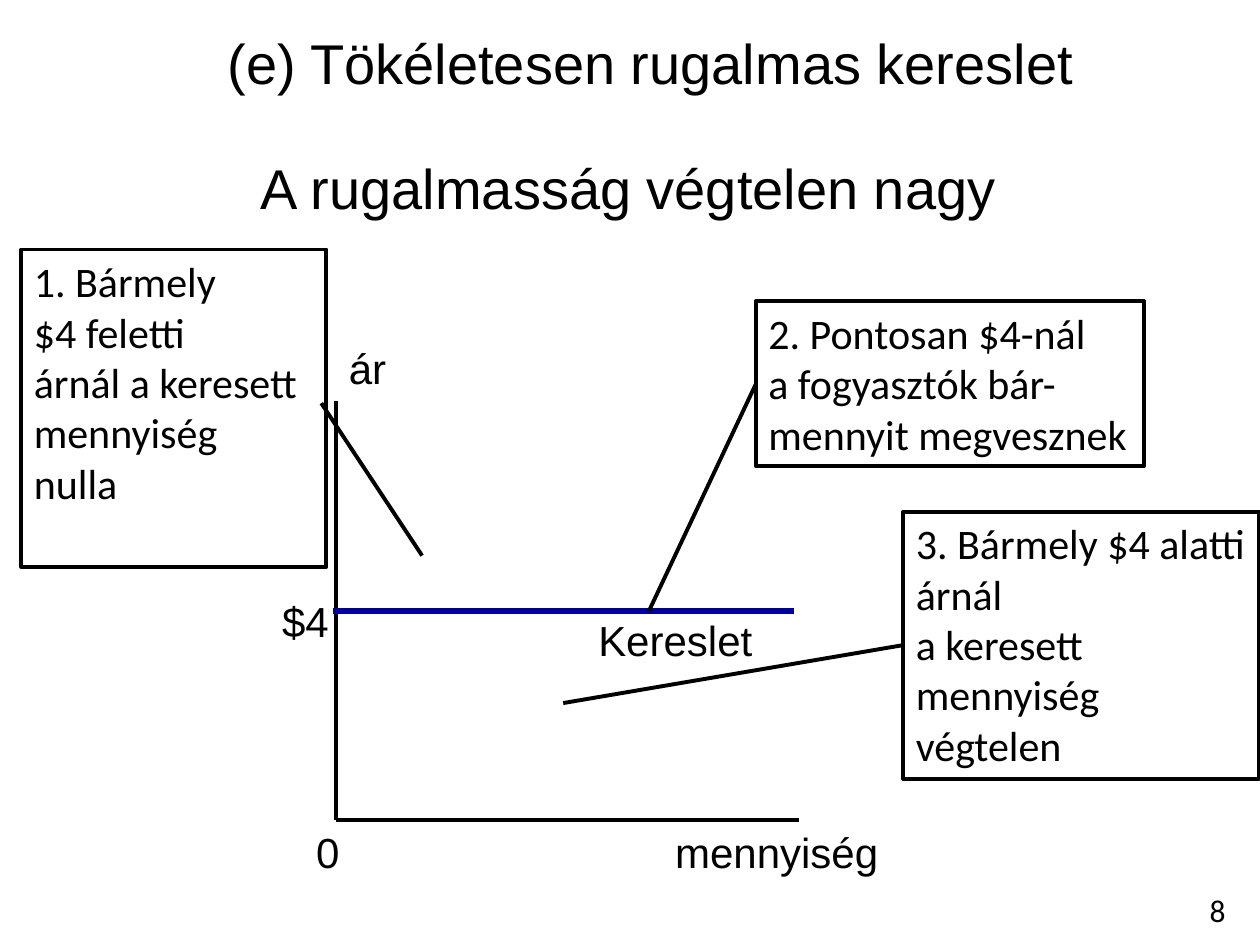
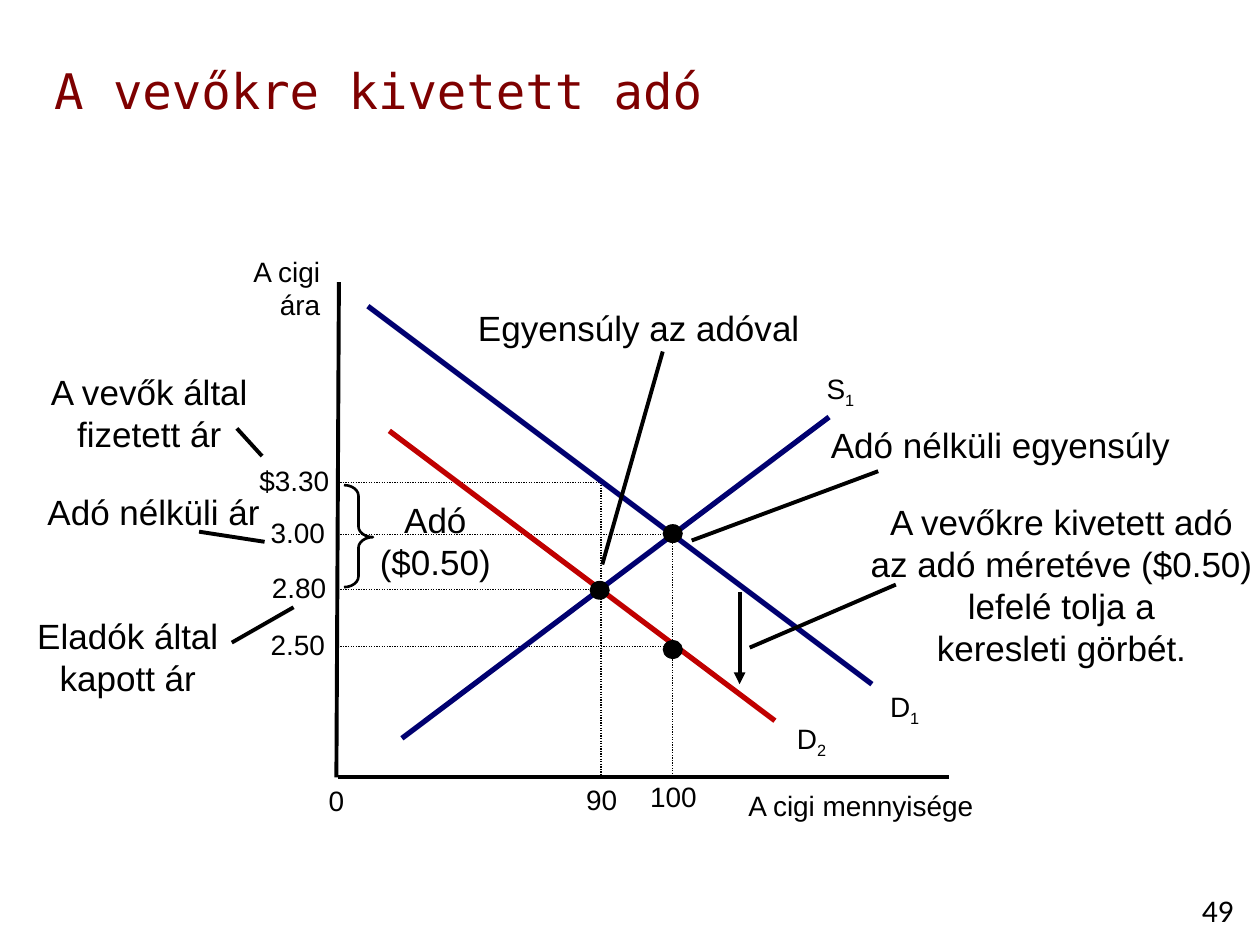
from lxml.etree import SubElement
from pptx import Presentation
from pptx.dml.color import RGBColor
from pptx.enum.dml import MSO_LINE
from pptx.enum.shapes import MSO_CONNECTOR, MSO_SHAPE
from pptx.enum.text import MSO_ANCHOR, MSO_AUTO_SIZE, PP_ALIGN
from pptx.oxml.ns import qn
from pptx.util import Inches, Pt

HUES = {"ink": "000000", "title": "7E0000", "blue": "000099",
        "navy": "000070", "red": "C00000"}
LEFT, MID, RIGHT = PP_ALIGN.LEFT, PP_ALIGN.CENTER, PP_ALIGN.RIGHT


def tint(name):
    """Return a named colour."""
    return RGBColor.from_string(HUES[name])


def write(shape, lines, size, face="Arial", align=LEFT, wrap=False, hue="ink"):
    """Fill a shape with one paragraph per line and format it."""
    frame = shape.text_frame
    frame.auto_size = MSO_AUTO_SIZE.NONE
    frame.word_wrap = wrap
    for n, line in enumerate(lines):
        para = frame.add_paragraph() if n else frame.paragraphs[0]
        para.text = line
        para.alignment = align
        for run in para.runs:
            run.font.size = Pt(size)
            run.font.name = face
            run.font.color.rgb = tint(hue)


class Plot:
    """A region of a slide whose parts are placed from its top left corner."""

    def __init__(self, slide, left, top, wide, high):
        """Keep the slide and the box."""
        self.shapes = slide.shapes
        self.left, self.top, self.wide, self.high = left, top, wide, high

    def spot(self, x, y):
        """Turn a point of the region into slide lengths."""
        return Inches(self.left + x), Inches(self.top + y)

    def text(self, lines, x, y, wide, high, size, **style):
        """Add a text box."""
        box = self.shapes.add_textbox(*self.spot(x, y), Inches(wide), Inches(high))
        write(box, lines, size, **style)
        return box

    def form(self, kind, x, y, wide, high):
        """Add a preset shape with no shadow or fill."""
        shape = self.shapes.add_shape(kind, *self.spot(x, y), Inches(wide), Inches(high))
        shape.shadow.inherit = False
        shape.fill.background()
        shape.line.color.rgb = tint("ink")
        return shape

    def line(self, x1, y1, x2, y2, hue="ink", width=2.25):
        """Add a straight line."""
        link = self.shapes.add_connector(
            MSO_CONNECTOR.STRAIGHT, *self.spot(x1, y1), *self.spot(x2, y2))
        link.line.color.rgb = tint(hue)
        link.line.width = Pt(width)
        SubElement(link._element.spPr, qn("a:effectLst"))
        return link

    def guide(self, x1, y1, x2, y2):
        """Add a thin dotted line."""
        self.line(x1, y1, x2, y2, width=0.75).line.dash_style = MSO_LINE.ROUND_DOT

    def dot(self, x, y):
        """Add a black dot around a point."""
        dot = self.form(MSO_SHAPE.OVAL, x - 0.08, y - 0.08, 0.16, 0.15)
        dot.fill.solid()
        dot.fill.fore_color.rgb = tint("ink")
        dot.line.fill.background()

    def note(self, lines, x, y, wide, high):
        """Add an outlined box of text."""
        box = self.form(MSO_SHAPE.RECTANGLE, x, y, wide, high)
        box.line.width = Pt(2.25)
        box.text_frame.vertical_anchor = MSO_ANCHOR.TOP
        write(box, lines, 24, face="Calibri", wrap=True)
        return box

    def curve(self, name, ends, label, hue):
        """Add a curve and its name with a lowered digit."""
        self.line(*ends, hue=hue, width=3)
        box = self.text([name[0]], *label, 0.5, 0.37, 16, align=MID)
        digit = box.text_frame.paragraphs[0].add_run()
        digit.text = name[1]
        digit.font.size = Pt(16)
        digit.font.name = "Arial"
        digit.font.color.rgb = tint("ink")
        digit._r.get_or_add_rPr().set("baseline", "-25000")


def start(deck, title, box, page, size, **style):
    """Add a slide with its title and page number."""
    slide = deck.slides.add_slide(deck.slide_layouts[5])
    head = slide.shapes.title
    head.left, head.top, head.width, head.height = map(Inches, box)
    head.text_frame.vertical_anchor = MSO_ANCHOR.MIDDLE
    write(head, [title], size, **style)
    foot = Plot(slide, 9.33, 7.02, 0.67, 0.4)
    foot.text([page], 0, 0, foot.wide, foot.high, 18, face="Calibri", align=MID, wrap=True)
    return slide


def demand(slide, box):
    """Draw the flat demand curve with its axes and notes."""
    plot = Plot(slide, *box)
    wide, high, price = plot.wide, plot.high, 1.67
    plot.line(0, 0, 0, high)
    plot.line(0, high, wide, high)
    plot.line(-0.03, price, 3.63, price, "blue", 3)
    for word, x, y, span in [("ár", 0, -0.51, 0.59), ("mennyiség", 2.59, high, 1.93),
                             ("0", -0.26, high, 0.39), ("Kereslet", 1.98, 1.65, 1.44),
                             ("$4", -0.53, 1.5, 0.58)]:
        plot.text([word], x, y, span, 0.5, 24)
    plot.note(["1. Bármely\n$4 feletti", "árnál a keresett mennyiség", "nulla"],
              -2.5, -1.2, 2.42, 2.52)
    plot.line(0.68, 1.23, -0.12, 0.02)
    exact = plot.note(["2. Pontosan $4-nál", "a fogyasztók bár-", "mennyit megvesznek"],
                      3.33, -0.79, 3.08, 1.31)
    below = plot.note(["3. Bármely $4 alatti árnál", "a keresett mennyiség", "végtelen"],
                      4.5, 0.88, 2.82, 2.12)
    plot.line(2.48, price, 3.33, -0.13).end_connect(exact, 1)
    plot.line(1.8, 2.4, 4.5, 1.94).end_connect(below, 1)


def market(slide, box):
    """Draw the axes, curves, price levels and meeting points."""
    plot = Plot(slide, *box)
    wide, high = plot.wide, plot.high
    plot.line(0.01, 0, -0.01, high)
    plot.line(0, high, wide, high)
    plot.text(["A cigi", "ára"], -1.58, -0.27, 1.54, 0.64, 16, align=RIGHT, wrap=True)
    plot.text(["A cigi mennyisége"], 3.16, high + 0.04, 3.29, 0.37, 16, wrap=True)
    plot.text(["0"], -0.17, high, 0.33, 0.37, 16)
    for price, x, y, reach, span in [("$3.30", -0.72, 1.59, 2.1, 0.76),
                                     ("3.00", -0.63, 2, 2.64, 0.64),
                                     ("2.80", -0.62, 2.44, 2.08, 0.64),
                                     ("2.50", -0.63, 2.89, 2.65, 0.64)]:
        plot.guide(0, y, reach, y)
        plot.text([price], x, y - 0.2, span, 0.37, 16)
    for count, x, y, drop in [("90", 2.09, 1.59, 0.01), ("100", 2.66, 2.03, 0.03)]:
        plot.guide(x, y, x, high - drop)
        plot.text([count], x - 0.28, high - drop, 0.57, 0.37, 16, align=MID)
    plot.curve("D1", (0.24, 0.19, 4.24, 3.19), (4.25, 3.18), "navy")
    plot.curve("S1", (0.51, 3.62, 3.9, 1.07), (3.74, 0.66), "navy")
    plot.curve("D2", (0.41, 1.18, 3.47, 3.48), (3.51, 3.44), "red")
    for x, y in [(2.66, 2), (2.08, 2.45), (2.66, 2.92)]:
        plot.dot(x, y)


def labels(slide, box):
    """Add the remarks, pointers, brace and arrow around the market."""
    plot = Plot(slide, *box)
    for lines, x, y, wide in [
            (["A vevők által", "fizetett ár"], -2.42, 0.65, 1.85),
            (["Adó nélküli ár"], -2.41, 1.6, 1.9),
            (["Eladók által", "kapott ár"], -2.53, 2.59, 1.73),
            (["A vevőkre kivetett adó", "az adó méretéve ($0.50)", "lefelé tolja a",
              "keresleti görbét."], 4.12, 1.68, 3.25),
            (["Adó", "($0.50)"], 0.23, 1.67, 1.09),
            (["Adó nélküli egyensúly"], 3.8, 1.07, 2.92),
            (["Egyensúly az adóval"], 1, 0.14, 2.78)]:
        plot.text(lines, x, y, wide, 0.1 + 0.34 * len(lines), 20, align=MID)
    for ends in [(-1.1, 1.98, -0.58, 2.06), (3.27, 2.9, 4.43, 2.4),
                 (2.81, 2.05, 4.29, 1.5), (-0.84, 2.86, -0.35, 2.58),
                 (-0.8, 1.16, -0.6, 1.38), (2.1, 2.24, 2.58, 0.55)]:
        plot.line(*ends)
    shift = plot.line(3.19, 2.46, 3.19, 3.19)
    SubElement(shift.line._get_or_add_ln(), qn("a:tailEnd"), type="triangle")
    brace = plot.form(MSO_SHAPE.LEFT_BRACE, 0.05, 1.61, 0.23, 0.81)
    brace.rotation = 180
    brace.adjustments[0], brace.adjustments[1] = 0.37, 0.49
    brace.line.width = Pt(1.5)


def main():
    """Build and save the slides."""
    deck = Presentation()
    deck.slide_width, deck.slide_height = Inches(10), Inches(7.5)
    slide = start(deck, "(e) Tökéletesen rugalmas kereslet", (1.68, 0.17, 6.97, 0.64),
                  "8", 32, align=MID)
    Plot(slide, 1.95, 1.17, 6.08, 0.64).text(
        ["A rugalmasság végtelen nagy"], 0, 0, 6.08, 0.64, 32, align=MID)
    demand(slide, (2.67, 3.18, 3.67, 3.33))
    slide = start(deck, "A vevőkre kivetett adó", (0.33, 0.42, 9.67, 0.58),
                  "49", 28, face="DejaVu Sans Mono", wrap=True, hue="title")
    frame = (2.68, 2.24, 4.85, 3.93)
    market(slide, frame)
    labels(slide, frame)
    deck.save("out.pptx")


if __name__ == "__main__":
    main()
